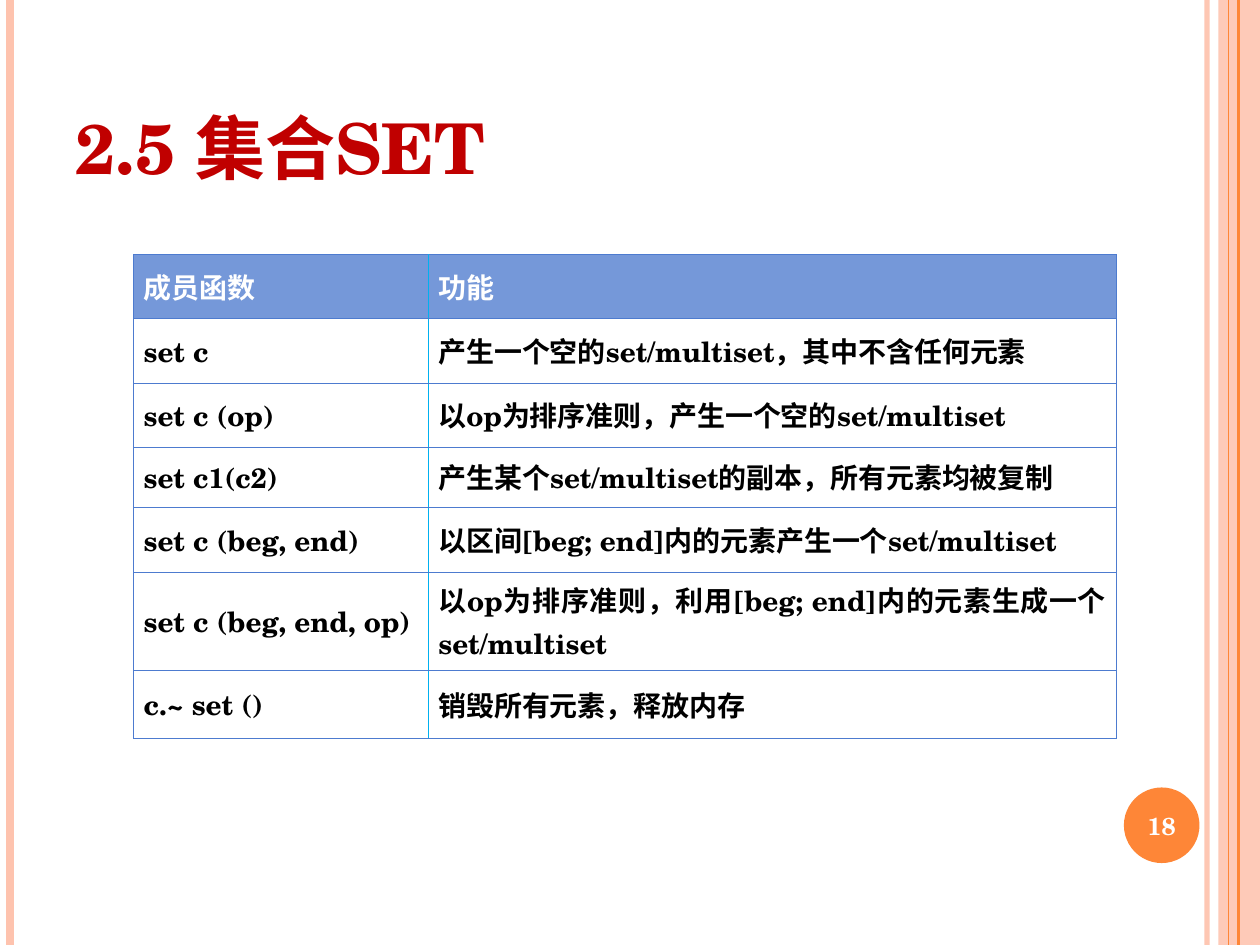
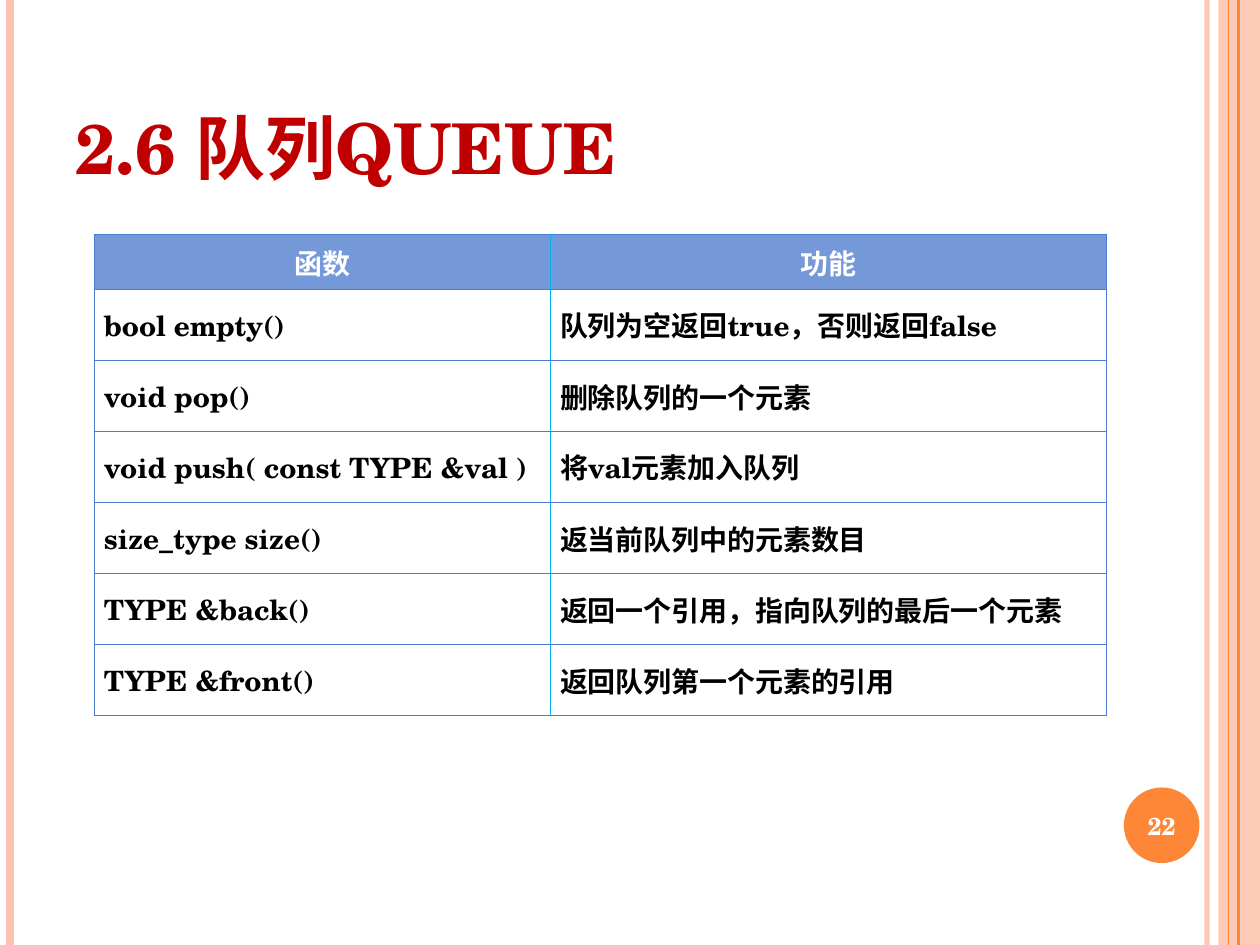
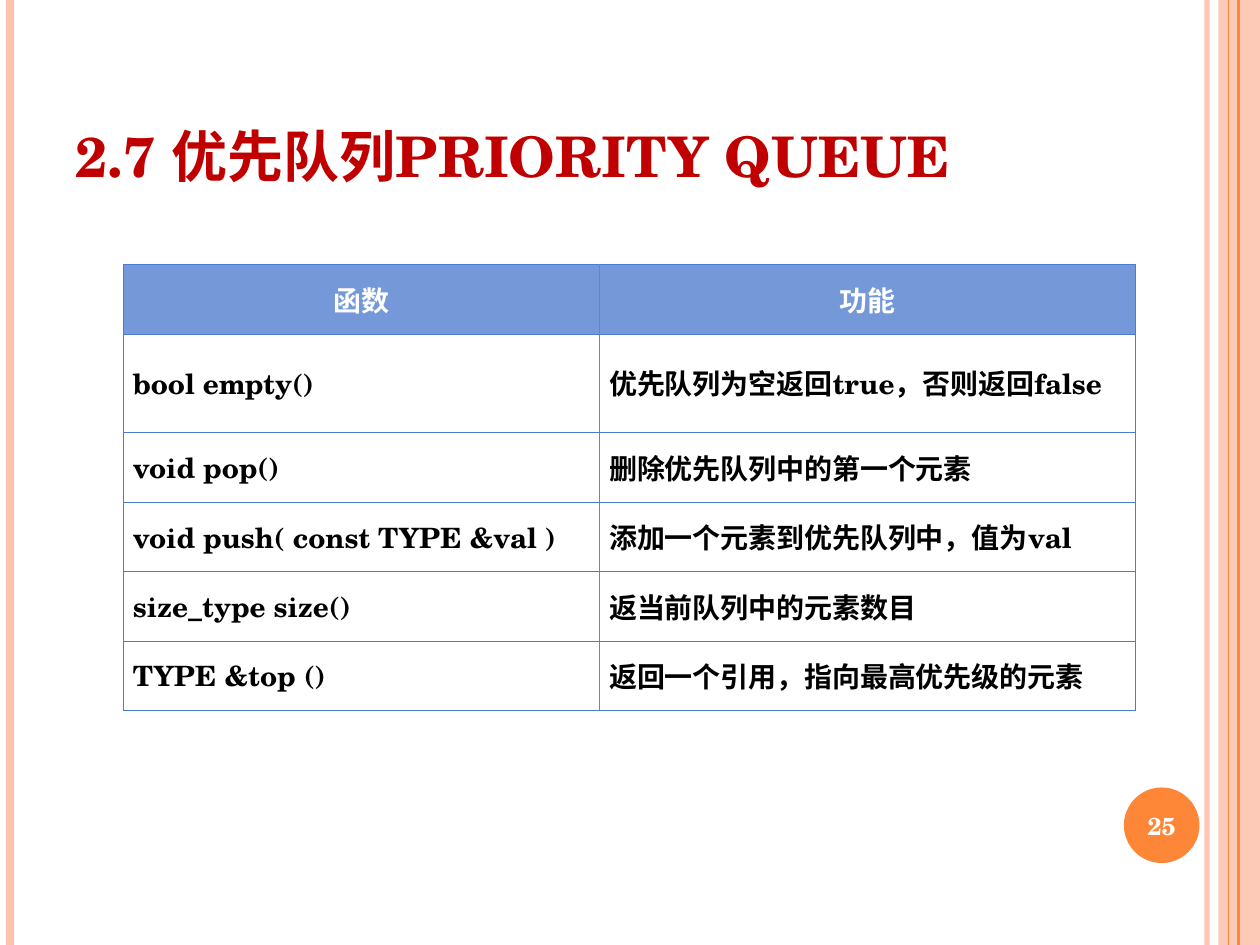
from lxml import etree
from pptx import Presentation
from pptx.dml.color import RGBColor
from pptx.enum.lang import MSO_LANGUAGE_ID
from pptx.enum.shapes import MSO_CONNECTOR, MSO_SHAPE
from pptx.enum.text import MSO_ANCHOR, MSO_AUTO_SIZE, PP_ALIGN
from pptx.oxml.ns import qn
from pptx.util import Inches, Pt

LINE = MSO_CONNECTOR.STRAIGHT
RECT, OVAL = MSO_SHAPE.RECTANGLE, MSO_SHAPE.OVAL
MIDDLE, BOTTOM = MSO_ANCHOR.MIDDLE, MSO_ANCHOR.BOTTOM
LEFT, CENTER, JUSTIFY = PP_ALIGN.LEFT, PP_ALIGN.CENTER, PP_ALIGN.JUSTIFY
NO_FIT = MSO_AUTO_SIZE.NONE
CHINESE = MSO_LANGUAGE_ID.SIMPLIFIED_CHINESE

FONT = "TeX Gyre Schola"
COLORS = {
    "title": "C00000", "peach": "FEC3AE", "orange": "FE8637",
    "head": "7598D9", "rule": "4D7BCF", "split": "00B0F0",
    "white": "FFFFFF", "black": "000000",
}
COLS, ROWS = 100, 75
UNIT = Inches(0.1)

TITLE = (5, 3, 81.7, 12.5)
BADGE = (89.2, 62.5, 6, 6)
EDGE = (96.7, 0, 3.3, ROWS)
STRIPES = [
    (95.8, "peach", 3, 93),
    (0.8, "peach", 4.5, 100),
    (98.3, "orange", 1.5, 100),
    (97.5, "orange", 0.75, 100),
]

PAGES = [
    {
        "title": "2.5 集合SET", "size": 40, "page": "18",
        "at": (10.6, 20.2), "cols": [23.4, 54.6],
        "rows": [5.1, 5.1, 5.1, 4.8, 5.1, 6.6, 5.4],
        "pad": 0.8, "align": JUSTIFY,
        "cells": [
            ("成员函数", "功能"),
            ("set c", "产生一个空的set/multiset，其中不含任何元素"),
            ("set c (op)", "以op为排序准则，产生一个空的set/multiset"),
            ("set c1(c2)", "产生某个set/multiset的副本，所有元素均被复制"),
            ("set c (beg, end)", "以区间[beg; end]内的元素产生一个set/multiset"),
            ("set c (beg, end, op)",
             "以op为排序准则，利用[beg; end]内的元素生成一个set/multiset"),
            ("c.~ set ()", "销毁所有元素，释放内存"),
        ],
    },
    {
        "title": "2.6 队列QUEUE", "size": 40, "page": "22",
        "at": (7.5, 18.6), "cols": [36.2, 44.1],
        "rows": [4.4] + [5.63] * 6,
        "pad": 0.75, "align": CENTER,
        "cells": [
            ("函数", "功能"),
            ("bool empty()", "队列为空返回true，否则返回false"),
            ("void pop()", "删除队列的一个元素"),
            ("void push( const TYPE &val )", "将val元素加入队列"),
            ("size_type size()", "返当前队列中的元素数目"),
            ("TYPE &back()", "返回一个引用，指向队列的最后一个元素"),
            ("TYPE &front()", "返回队列第一个元素的引用"),
        ],
    },
    {
        "title": "2.7 优先队列PRIORITY QUEUE", "size": 32, "page": "25",
        "at": (9.8, 21), "cols": [37.8, 42.5],
        "rows": [5.51] * 6,
        "pad": 0.75, "align": CENTER,
        "cells": [
            ("函数", "功能"),
            ("bool empty()", "优先队列为空返回true，否则返回false"),
            ("void pop()", "删除优先队列中的第一个元素"),
            ("void push( const TYPE &val )", "添加一个元素到优先队列中，值为val"),
            ("size_type size()", "返当前队列中的元素数目"),
            ("TYPE &top ()", "返回一个引用，指向最高优先级的元素"),
        ],
    },
]


def grid(*sizes):
    return [round(size * UNIT) for size in sizes]


def color(name):
    return RGBColor.from_string(COLORS[name])


def fade(fill, share):
    tint = fill.find(".//" + qn("a:srgbClr"))
    etree.SubElement(tint, qn("a:alpha"), val=str(share * 1000))


def write(frame, text, size, tone, align):
    frame.text = text
    para = frame.paragraphs[0]
    para.alignment = align
    font = para.font
    font.name, font.size, font.bold = FONT, Pt(size), True
    font.language_id = CHINESE
    font.color.rgb = color(tone)


def stripe(slide, x, tone, width, share):
    line = slide.shapes.add_connector(LINE, *grid(x, 0, x, ROWS))
    line.line.color.rgb = color(tone)
    line.line.width = Pt(width)
    props = line._element.spPr
    if share < 100:
        fade(props, share)
    etree.SubElement(props, qn("a:effectLst"))


def block(slide, kind, box, tone):
    shape = slide.shapes.add_shape(kind, *grid(*box))
    shape.shadow.inherit = False
    shape.fill.solid()
    shape.fill.fore_color.rgb = color(tone)
    shape.line.fill.background()
    return shape


def frame(slide, page):
    edge = block(slide, RECT, EDGE, "peach")
    fade(edge._element.spPr, 87)
    for band in STRIPES:
        stripe(slide, *band)
    badge = block(slide, OVAL, BADGE, "orange")
    text = badge.text_frame
    text.margin_left = text.margin_right = 0
    text.vertical_anchor = MIDDLE
    write(text, page, 14, "white", CENTER)


def heading(slide, box, text, size):
    title = slide.shapes.title
    title.left, title.top, title.width, title.height = grid(*box)
    body = title.text_frame
    body.auto_size = NO_FIT
    body.word_wrap = True
    body.vertical_anchor = BOTTOM
    write(body, text, size, "title", LEFT)


def border(cell, first):
    tones = {"L": "rule" if first else "split", "R": "split" if first else "rule",
             "T": "rule", "B": "rule"}
    props = cell._tc.get_or_add_tcPr()
    for side, tone in tones.items():
        line = etree.SubElement(props, qn("a:ln" + side), w=str(Pt(0.45)))
        fill = etree.SubElement(line, qn("a:solidFill"))
        etree.SubElement(fill, qn("a:srgbClr"), val=COLORS[tone])


def listing(slide, spec):
    cols, rows, cells = spec["cols"], spec["rows"], spec["cells"]
    box = grid(*spec["at"], sum(cols), sum(rows))
    table = slide.shapes.add_table(len(rows), len(cols), *box).table
    table.first_row = table.horz_banding = False
    for col, width in zip(table.columns, grid(*cols)):
        col.width = width
    for row, height in zip(table.rows, grid(*rows)):
        row.height = height
    pad = grid(spec["pad"])[0]
    for r, texts in enumerate(cells):
        for c, text in enumerate(texts):
            cell = table.cell(r, c)
            cell.vertical_anchor = MIDDLE
            cell.margin_left = cell.margin_right = pad
            border(cell, c == 0)
            if r == 0:
                cell.fill.solid()
                cell.fill.fore_color.rgb = color("head")
                write(cell.text_frame, text, 16, "white", spec["align"])
            else:
                cell.fill.background()
                write(cell.text_frame, text, 16, "black", JUSTIFY)


def main():
    deck = Presentation()
    deck.slide_width, deck.slide_height = grid(COLS, ROWS)
    for page in PAGES:
        slide = deck.slides.add_slide(deck.slide_layouts[5])
        frame(slide, page["page"])
        heading(slide, TITLE, page["title"], page["size"])
        listing(slide, page)
    deck.save("out.pptx")


if __name__ == "__main__":
    main()
